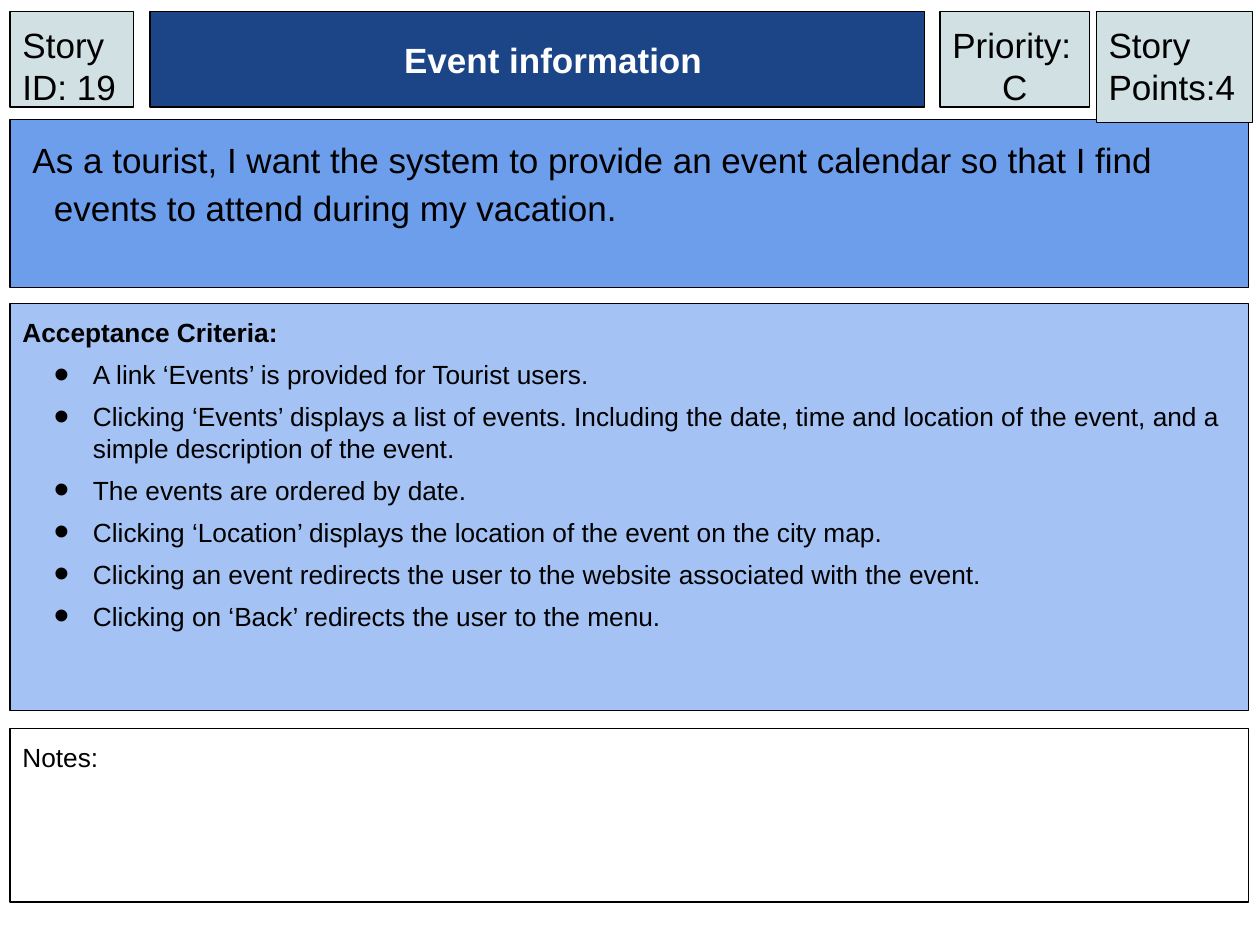
from dataclasses import dataclass
from lxml.etree import SubElement
from pptx import Presentation
from pptx.dml.color import RGBColor
from pptx.enum.shapes import MSO_SHAPE
from pptx.enum.text import MSO_ANCHOR, PP_ALIGN
from pptx.oxml.ns import qn
from pptx.util import Inches, Pt


@dataclass(frozen=True)
class Theme:
    """Colours, font and type sizes of the story card."""
    ink: str = "000000"
    paper: str = "FFFFFF"
    navy: str = "1C4587"
    blue: str = "6D9EEB"
    sky: str = "A4C2F4"
    mist: str = "D0E0E3"
    font: str = "Arial"
    large: int = 20
    small: int = 15


THEME = Theme()
WIDTH, HEIGHT = Inches(10), Inches(7.5)
LEFT, TOP, FULL, HEAD = 0.8, 1.2, 98.3, 10.13
STORY = ("As a tourist, I want the system to provide an event calendar "
         "so that I find events to attend during my vacation.")
CRITERIA = (
    "A link ‘Events’ is provided for Tourist users.",
    "Clicking ‘Events’ displays a list of events. Including the date, time "
    "and location of the event, and a simple description of the event.",
    "The events are ordered by date.",
    "Clicking ‘Location’ displays the location of the event on the city map.",
    "Clicking an event redirects the user to the website associated with the event.",
    "Clicking on ‘Back’ redirects the user to the menu.",
)


def add_panel(slide, left, top, width, height, fill, lines):
    """Add an outlined panel, placed in percent of the slide, and return its text frame."""
    panel = slide.shapes.add_shape(
        MSO_SHAPE.RECTANGLE,
        int(WIDTH * left / 100), int(HEIGHT * top / 100),
        int(WIDTH * width / 100), int(HEIGHT * height / 100))
    panel.shadow.inherit = False
    panel.fill.solid()
    panel.fill.fore_color.rgb = RGBColor.from_string(fill)
    panel.line.color.rgb = RGBColor.from_string(THEME.ink)
    panel.line.width = Pt(0.75)
    frame = panel.text_frame
    frame.word_wrap = True
    frame.vertical_anchor = MSO_ANCHOR.TOP
    frame.margin_left = frame.margin_right = Inches(0.1)
    frame.margin_top = frame.margin_bottom = Inches(0.1)
    frame.text = "\n".join(lines)
    for para in frame.paragraphs:
        para.alignment = PP_ALIGN.LEFT
    return frame


def style(para, size, color=THEME.ink, bold=False):
    """Format the runs of a paragraph."""
    for run in para.runs:
        run.font.name = THEME.font
        run.font.size = Pt(size)
        run.font.bold = bold
        run.font.color.rgb = RGBColor.from_string(color)


def indent(para, margin, first):
    """Set the left margin and first-line indent in inches."""
    props = para._p.get_or_add_pPr()
    props.set("marL", str(Inches(margin)))
    props.set("indent", str(Inches(first)))


def add_bullet(para):
    """Give a paragraph a large round bullet."""
    props = para._p.get_or_add_pPr()
    color = SubElement(props, qn("a:buClr"))
    SubElement(color, qn("a:srgbClr"), val=THEME.ink)
    SubElement(props, qn("a:buSzPct"), val="167000")
    SubElement(props, qn("a:buFont"), typeface=THEME.font)
    SubElement(props, qn("a:buChar"), char="•")


def add_story(slide):
    """Add the user story panel."""
    para = add_panel(slide, LEFT, 12.67, FULL, 17.73, THEME.blue, [STORY]).paragraphs[0]
    indent(para, 0.25, -0.17)
    para.line_spacing = 1.15
    style(para, THEME.large)


def add_title(slide):
    """Add the centred title bar."""
    frame = add_panel(slide, 11.9, TOP, 61.5, HEAD, THEME.navy, ["Event information"])
    frame.vertical_anchor = MSO_ANCHOR.MIDDLE
    para = frame.paragraphs[0]
    para.alignment = PP_ALIGN.CENTER
    indent(para, 0, 0.25)
    style(para, THEME.large, THEME.paper, True)


def add_list(slide, top, height, fill, head, items=(), bold=False):
    """Add a panel with a heading and bulleted items."""
    frame = add_panel(slide, LEFT, top, FULL, height, fill, [head, *items])
    first, *rest = frame.paragraphs
    indent(first, 0.38, -0.38)
    style(first, THEME.small, bold=bold)
    for para in rest:
        indent(para, 0.56, -0.31)
        para.space_before = Pt(6)
        add_bullet(para)
        style(para, THEME.small)


def add_badge(slide, left, width, height, *lines):
    """Add a badge whose lines after the first are centred."""
    frame = add_panel(slide, left, TOP, width, height, THEME.mist, lines)
    for para in frame.paragraphs:
        style(para, THEME.large)
    for para in frame.paragraphs[1:]:
        para.alignment = PP_ALIGN.CENTER


def main():
    """Build the story card and save it."""
    deck = Presentation()
    deck.slide_width, deck.slide_height = WIDTH, HEIGHT
    slide = deck.slides.add_slide(deck.slide_layouts[6])
    add_story(slide)
    add_title(slide)
    add_list(slide, 32.13, 43.07, THEME.sky, "Acceptance Criteria:", CRITERIA, True)
    add_list(slide, 77.07, 18.4, THEME.paper, "Notes:")
    add_badge(slide, 87, 12.4, 11.73, "Story Points:4")
    add_badge(slide, 74.6, 11.9, HEAD, "Priority:", "C")
    add_badge(slide, LEFT, 9.8, HEAD, "Story ID: 19")
    deck.save("out.pptx")


if __name__ == "__main__":
    main()
